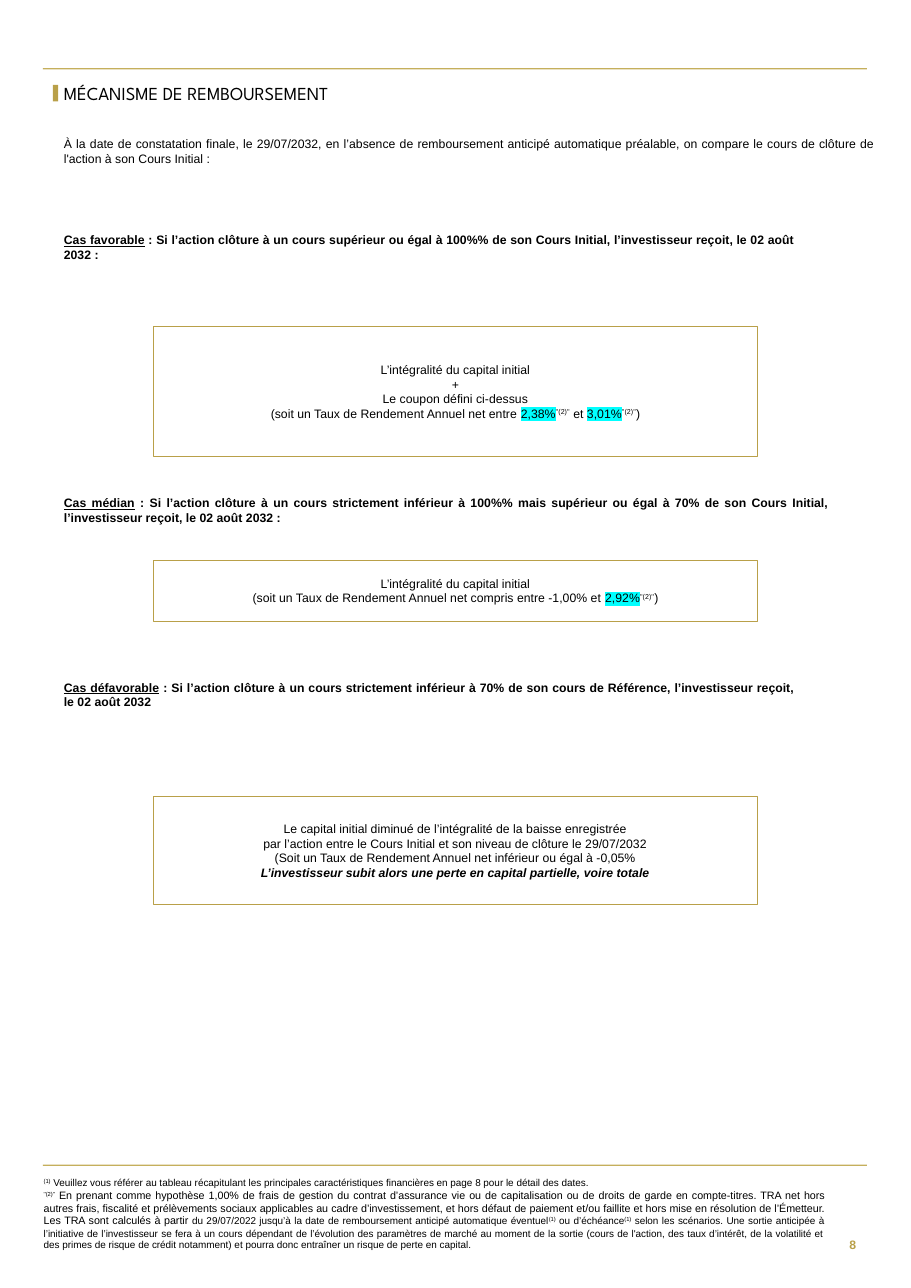
from lxml import etree
from pptx import Presentation
from pptx.dml.color import RGBColor
from pptx.enum.shapes import MSO_SHAPE
from pptx.enum.text import MSO_ANCHOR, PP_ALIGN
from pptx.oxml.ns import qn
from pptx.util import Inches, Pt

RECTANGLE = MSO_SHAPE.RECTANGLE
TOP, MIDDLE = MSO_ANCHOR.TOP, MSO_ANCHOR.MIDDLE
LEFT, CENTER, RIGHT, JUSTIFY = PP_ALIGN.LEFT, PP_ALIGN.CENTER, PP_ALIGN.RIGHT, PP_ALIGN.JUSTIFY
BLACK, GOLD, RULE_GOLD, CYAN = "000000", "B9A049", "C5AF5C", "00FFFF"
BODY = {"name": "Arial", "size": Pt(8)}
NOTE = {"name": "Arial", "size": Pt(6.5)}
NOTE_LARGE = {"size": Pt(7)}
TITLE = {"name": "League Spartan", "size": Pt(12)}
BOLD = {"bold": True}
CASE_NAME = {"bold": True, "underline": True}
WARNING = {"bold": True, "italic": True}
RAISED = {"baseline": 30000}
MARKED = {"highlight": CYAN}
NOTE_MARK = ("''(2)''", RAISED)
DATE_MARK = ("(1)", RAISED)
TEXT_LEFT, RULE_LEFT, RULE_WIDTH = 7.01, 4.72, 90.45
BOX_LEFT, BOX_WIDTH = 16.81, 66.38


def color(value):
    return RGBColor.from_string(value)


class Page:
    """Draws styled elements placed in percentages of the slide's size."""

    def __init__(self, width, height):
        self.presentation = Presentation()
        self.presentation.slide_width = Inches(width)
        self.presentation.slide_height = Inches(height)
        self.slide = self.presentation.slides.add_slide(self.presentation.slide_layouts[6])

    def place(self, left, top, width, height):
        across = self.presentation.slide_width / 100
        down = self.presentation.slide_height / 100
        return int(left * across), int(top * down), int(width * across), int(height * down)

    def add_run(self, paragraph, text, style, text_color):
        run = paragraph.add_run()
        run.text = text
        run.font.color.rgb = color(text_color)
        properties = run.font._element
        for name, value in style.items():
            if name == "baseline":
                properties.set(name, str(value))
            elif name == "highlight":
                highlight = etree.Element(qn("a:highlight"))
                etree.SubElement(highlight, qn("a:srgbClr"), val=value)
                properties.find(qn("a:solidFill")).addnext(highlight)
            else:
                setattr(run.font, name, value)

    def fill_text(self, shape, paragraphs, style, alignment, anchor, margins, text_color, spacing=None):
        frame = shape.text_frame
        horizontal, vertical = (Inches(margin) for margin in margins)
        settings = {"word_wrap": True, "vertical_anchor": anchor,
                    "margin_left": horizontal, "margin_right": horizontal,
                    "margin_top": vertical, "margin_bottom": vertical}
        for name, value in settings.items():
            setattr(frame, name, value)
        for index, runs in enumerate(paragraphs):
            paragraph = frame.add_paragraph() if index else frame.paragraphs[0]
            paragraph.alignment = alignment
            paragraph.line_spacing = spacing
            for text, extra in runs:
                self.add_run(paragraph, text, {**style, **extra}, text_color)

    def text(self, place, paragraphs, style=BODY, alignment=JUSTIFY, anchor=TOP,
             margins=(0, 0), text_color=BLACK, spacing=None):
        shape = self.slide.shapes.add_textbox(*self.place(*place))
        self.fill_text(shape, paragraphs, style, alignment, anchor, margins, text_color, spacing)

    def rectangle(self, place):
        shape = self.slide.shapes.add_shape(RECTANGLE, *self.place(*place))
        shape.shadow.inherit = False
        return shape

    def bar(self, place, fill):
        shape = self.rectangle(place)
        shape.fill.solid()
        shape.fill.fore_color.rgb = color(fill)
        shape.line.fill.background()

    def payout_box(self, top, height, paragraphs):
        shape = self.rectangle((BOX_LEFT, top, BOX_WIDTH, height))
        shape.fill.background()
        shape.line.color.rgb = color(GOLD)
        shape.line.width = Pt(0.5)
        self.fill_text(shape, paragraphs, BODY, CENTER, MIDDLE, (0.12, 0.08), BLACK)

    def case(self, top, width, name, condition):
        self.text((TEXT_LEFT, top, width, 2.3), [[(name, CASE_NAME), (condition, BOLD)]])


def main():
    page = Page(8.27, 11.69)
    for rule_top in (5.3, 90.42):
        page.bar((RULE_LEFT, rule_top, RULE_WIDTH, 0.1), RULE_GOLD)
    page.bar((5.8, 6.59, 0.6, 1.28), GOLD)
    page.text((TEXT_LEFT, 6.24, 50.9, 2.14), [[("MÉCANISME DE REMBOURSEMENT", {})]],
              TITLE, LEFT, MIDDLE, spacing=0.9)
    page.text((TEXT_LEFT, 10.61, 89.12, 2.3), [[(
        "À la date de constatation finale, le 29/07/2032, en l’absence de remboursement anticipé "
        "automatique préalable, on compare le cours de clôture de l'action à son Cours Initial :", {})]])

    page.case(18.05, 80.29, "Cas favorable",
              " : Si l’action clôture à un cours supérieur ou égal à 100%% de son Cours Initial, "
              "l’investisseur reçoit, le 02 août 2032 :")
    page.payout_box(25.36, 10.09, [
        [("L’intégralité du capital initial", {})],
        [("+", {})],
        [("Le coupon défini ci-dessus", {})],
        [("(soit un Taux de Rendement Annuel net entre ", {}), ("2,38%", MARKED), NOTE_MARK,
         (" et ", {}), ("3,01%", MARKED), NOTE_MARK, (")", {})],
    ])

    page.case(38.49, 84.04, "Cas médian",
              " : Si l’action clôture à un cours strictement inférieur à 100%% mais supérieur ou égal "
              "à 70% de son Cours Initial, l’investisseur reçoit, le 02 août 2032 :")
    page.payout_box(43.52, 4.7, [
        [("L’intégralité du capital initial", {})],
        [("(soit un Taux de Rendement Annuel net compris entre -1,00% et ", {}),
         ("2,92%", MARKED), NOTE_MARK, (")", {})],
    ])

    page.case(52.78, 80.29, "Cas défavorable",
              " : Si l’action clôture à un cours strictement inférieur à 70% de son cours de "
              "Référence, l’investisseur reçoit, le 02 août 2032")
    page.payout_box(61.85, 8.38, [
        [("Le capital initial diminué de l’intégralité de la baisse enregistrée", {})],
        [("par l’action entre le Cours Initial et son niveau de clôture le 29/07/2032", {})],
        [("(Soit un Taux de Rendement Annuel net inférieur ou égal à -0,05%", {})],
        [("L’investisseur subit alors une perte en capital partielle, voire totale", WARNING)],
    ])

    page.text((4.8, 91.36, 85.73, 5.82), [
        [DATE_MARK, (" Veuillez vous référer au tableau récapitulant les principales "
                     "caractéristiques financières en page 8 pour le détail des dates.", {})],
        [NOTE_MARK,
         (" En prenant comme hypothèse 1,00% de frais de gestion du contrat d’assurance vie ou de "
          "capitalisation ou de droits de garde en compte-titres. TRA net hors autres frais, "
          "fiscalité et prélèvements sociaux applicables au cadre d’investissement, et hors défaut "
          "de paiement et/ou faillite et hors mise en résolution de l’Émetteur. Les TRA sont "
          "calculés à partir ", NOTE_LARGE),
         ("du 29/07/2022 jusqu’à la date de remboursement anticipé automatique éventuel", {}),
         DATE_MARK, (" ou d’échéance", {}), DATE_MARK,
         (" selon les scénarios. Une sortie anticipée à l’initiative de l’investisseur se fera à un "
          "cours dépendant de l’évolution des paramètres de marché au moment de la sortie (cours de "
          "l'action, des taux d’intérêt, de la volatilité et des primes de risque de crédit "
          "notamment) et pourra donc entraîner un risque de perte en capital.", {})],
    ], NOTE)
    page.text((90.45, 94.87, 4.72, 3.59), [[("8", BOLD)]], BODY, RIGHT, MIDDLE, (0.1, 0.05), GOLD)
    page.presentation.save("out.pptx")


if __name__ == "__main__":
    main()
